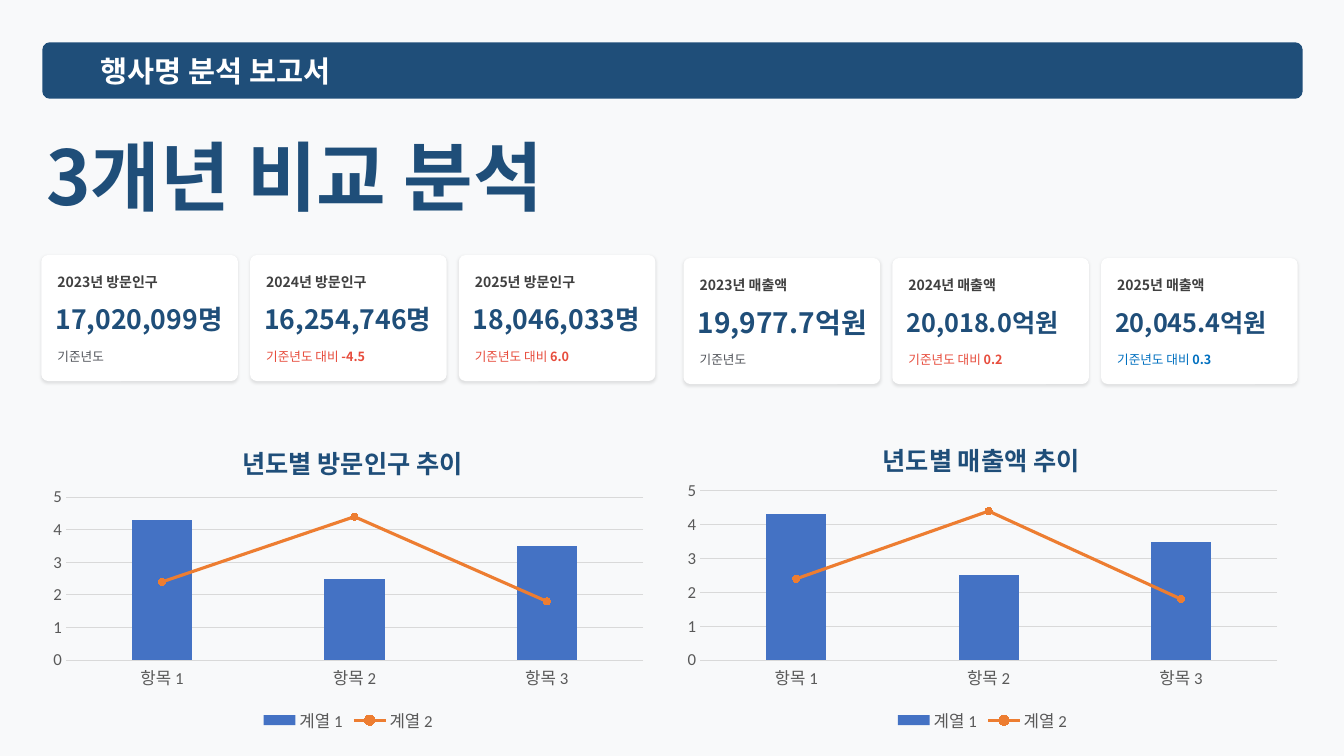
from lxml.etree import SubElement
from pptx import Presentation
from pptx.chart.data import CategoryChartData
from pptx.dml.color import RGBColor
from pptx.enum.chart import XL_CHART_TYPE, XL_LEGEND_POSITION, XL_MARKER_STYLE, XL_TICK_MARK
from pptx.enum.shapes import MSO_SHAPE
from pptx.enum.text import MSO_ANCHOR, MSO_AUTO_SIZE, PP_ALIGN
from pptx.oxml import parse_xml
from pptx.oxml.ns import nsdecls, qn
from pptx.util import Inches, Pt

KOREAN = "Noto Sans CJK KR"
NAVY, WHITE, RED, BLUE = "1F4E79", "FFFFFF", "E74C3C", "0070C0"
GRAY, DARK, GRID, AXIS = "51545A", "404040", "D9D9D9", "595959"
CARD_W, CARD_H, CARD_STEP = 1.95, 1.25, 2.07

VISITORS = [
    ("2023년 방문인구", 1.12, "17,020,099명", 19, "기준년도", "", GRAY),
    ("2024년 방문인구", 1.12, "16,254,746명", 19, "기준년도 대비 ", "-4.5", RED),
    ("2025년 방문인구", 1.03, "18,046,033명", 19, "기준년도 대비 ", "6.0", RED),
]
SALES = [
    ("2023년 매출액", 1.12, "19,977.7억원", 20, "기준년도", "", GRAY),
    ("2024년 매출액", 1.12, "20,018.0억원", 18, "기준년도 대비 ", "0.2", RED),
    ("2025년 매출액", 1.12, "20,045.4억원", 18, "기준년도 대비 ", "0.3", BLUE),
]


def rgb(value):
    """Turn a hex string into a colour."""
    return RGBColor.from_string(value)


def add_run(p, text, size=10, color=NAVY, bold=True):
    """Append a formatted run to a paragraph."""
    r = p.add_run()
    r.text = text
    r.font.size, r.font.bold, r.font.name = Pt(size), bold, KOREAN
    r.font.color.rgb = rgb(color)
    SubElement(r.font._element, qn("a:ea")).set("typeface", KOREAN)


def set_text(tf, text, left=0, **fmt):
    """Fill a text frame with one left-aligned line and return its paragraph."""
    tf.word_wrap, tf.auto_size = True, MSO_AUTO_SIZE.NONE
    tf.vertical_anchor = MSO_ANCHOR.MIDDLE
    tf.margin_left = Inches(left)
    tf.margin_top = tf.margin_right = tf.margin_bottom = 0
    p = tf.paragraphs[0]
    p.alignment = PP_ALIGN.LEFT
    add_run(p, text, **fmt)
    return p


def add_label(slide, x, y, w, h, text, **fmt):
    """Place a text box and return its paragraph."""
    box = slide.shapes.add_textbox(Inches(x), Inches(y), Inches(w), Inches(h))
    return set_text(box.text_frame, text, **fmt)


def add_panel(slide, x, y, w, h, fill, corner):
    """Draw a borderless rounded rectangle."""
    sp = slide.shapes.add_shape(MSO_SHAPE.ROUNDED_RECTANGLE, Inches(x), Inches(y), Inches(w), Inches(h))
    sp.adjustments[0] = corner
    sp.fill.solid()
    sp.fill.fore_color.rgb = rgb(fill)
    sp.line.fill.background()
    sp.shadow.inherit = False
    return sp


def add_heading(slide, x, y, w):
    """Build the report banner and the slide title under it."""
    banner = add_panel(slide, x, y, w, 0.56, NAVY, 0.132)
    set_text(banner.text_frame, "행사명 분석 보고서", left=0.56, size=21, color=WHITE)
    title = slide.shapes.title
    title.left, title.top = Inches(x + 0.04), Inches(y + 0.77)
    title.width, title.height = Inches(6.32), Inches(1.09)
    set_text(title.text_frame, "3개년 비교 분석", size=54)


def add_card(slide, x, y, label, label_w, value, size, note, change, color):
    """Build one figure card with its label, value and note."""
    card = add_panel(slide, x, y, CARD_W, CARD_H, WHITE, 0.053)
    effects = card._element.spPr.find(qn("a:effectLst"))
    shadow = SubElement(effects, qn("a:outerShdw"), blurRad=str(Pt(2)), dist=str(Pt(1)),
                        dir="5400000", algn="t", rotWithShape="0")
    tint = SubElement(shadow, qn("a:srgbClr"), val="000000")
    SubElement(tint, qn("a:alpha"), val="10000")
    add_label(slide, x + 0.16, y + 0.18, label_w, 0.18, label, color=DARK)
    add_label(slide, x + 0.14, y + 0.49, CARD_W, 0.29, value, size=size)
    p = add_label(slide, x + 0.16, y + 0.9, 1.75, 0.21, note, size=9, color=color, bold=False)
    if change:
        add_run(p, change, size=9, color=color)


def add_cards(slide, x, y, rows):
    """Lay out a row of figure cards."""
    for i, row in enumerate(rows):
        add_card(slide, x + i * CARD_STEP, y, *row)


def drop(parent, tag):
    """Remove the children that have the given tag."""
    for child in parent.findall(qn(tag)):
        parent.remove(child)


def set_layout(parent, index, **shares):
    """Fix the place of a chart part by shares of the chart."""
    drop(parent, "c:layout")
    target = '<c:layoutTarget val="inner"/>' if "w" in shares else ""
    modes = "".join(f'<c:{k}Mode val="edge"/>' for k in "xy")
    places = "".join(f'<c:{k} val="{v}"/>' for k, v in shares.items())
    parent.insert(index, parse_xml(
        f'<c:layout {nsdecls("c")}><c:manualLayout>{target}{modes}{places}</c:manualLayout></c:layout>'))


def turn_into_line(chart):
    """Move the second column series to a line plot on the same axes."""
    bars = chart.plots[0]._element
    ser = bars.findall(qn("c:ser"))[1]
    drop(ser, "c:invertIfNegative")
    line = parse_xml(f'<c:lineChart {nsdecls("c")}><c:grouping val="standard"/>'
                     '<c:varyColors val="0"/><c:marker val="1"/></c:lineChart>')
    line.insert(2, ser)
    for axis in bars.findall(qn("c:axId")):
        SubElement(line, qn("c:axId"), val=axis.get("val"))
    bars.addnext(line)


def add_trend(slide, x, y, title, title_x, title_y, plot_y):
    """Build a column and line chart with its title."""
    data = CategoryChartData()
    data.categories = ["항목 1", "항목 2", "항목 3"]
    data.add_series("계열 1", (4.3, 2.5, 3.5))
    data.add_series("계열 2", (2.4, 4.4, 1.8))
    chart = slide.shapes.add_chart(XL_CHART_TYPE.COLUMN_CLUSTERED, Inches(x), Inches(y),
                                   Inches(6.09), Inches(3.17), data).chart
    chart.font.size, chart.font.name = Pt(12), "Calibri"
    chart.font.color.rgb = rgb(AXIS)
    add_run(chart.chart_title.text_frame.paragraphs[0], title, size=18)
    set_layout(chart.chart_title._element, 1, x=title_x, y=title_y)
    set_layout(chart._chartSpace.chart.plotArea, 0, x=0.04, y=plot_y, w=0.94, h=round(0.76 - plot_y, 2))

    turn_into_line(chart)
    columns, trend = chart.plots
    columns.gap_width, columns.vary_by_categories = 219, False
    fill = columns.series[0].format.fill
    fill.solid()
    fill.fore_color.rgb = rgb("4472C4")
    line = trend.series[0]
    line.smooth = False
    line.format.line.width = Pt(2.25)
    line.format.line.color.rgb = rgb("ED7D31")
    line.marker.style, line.marker.size = XL_MARKER_STYLE.CIRCLE, 5
    line.marker.format.fill.solid()
    line.marker.format.fill.fore_color.rgb = rgb("ED7D31")
    line.marker.format.line.color.rgb = rgb("ED7D31")

    cats, vals = chart.category_axis, chart.value_axis
    vals.minimum_scale, vals.maximum_scale, vals.major_unit = 0, 5, 1
    vals.format.line.fill.background()
    for axis in (cats, vals):
        axis.major_tick_mark = axis.minor_tick_mark = XL_TICK_MARK.NONE
    for rule in (cats.format.line, vals.major_gridlines.format.line):
        rule.color.rgb, rule.width = rgb(GRID), Pt(0.75)
    chart.has_legend = True
    chart.legend.position = XL_LEGEND_POSITION.BOTTOM
    chart.legend.include_in_layout = False


def main():
    """Build the slide and save it."""
    prs = Presentation()
    prs.slide_width, prs.slide_height = Inches(13.33), Inches(7.5)
    slide = prs.slides.add_slide(prs.slide_layouts[5])
    slide.background.fill.solid()
    slide.background.fill.fore_color.rgb = rgb("F8F9FA")
    add_heading(slide, 0.42, 0.42, 12.5)
    add_cards(slide, 0.41, 2.53, VISITORS)
    add_cards(slide, 6.78, 2.56, SALES)
    add_trend(slide, 0.41, 4.14, "년도별 방문인구 추이", 0.32, 0.06, 0.25)
    add_trend(slide, 6.7, 4.14, "년도별 매출액 추이", 0.33, 0.05, 0.23)
    prs.save("out.pptx")


if __name__ == "__main__":
    main()
